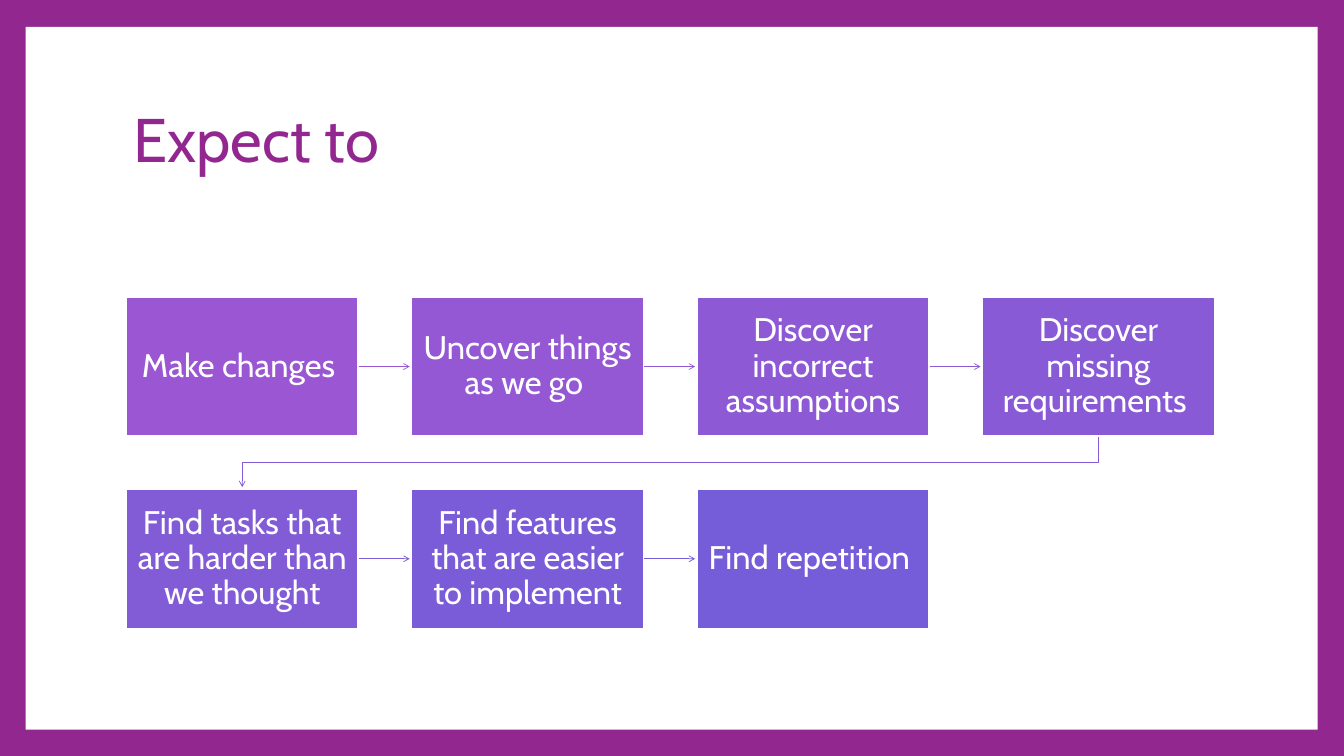
from lxml import etree
from pptx import Presentation
from pptx import util as u
from pptx.dml.color import RGBColor
from pptx.enum import shapes, text
from pptx.oxml.ns import qn

PURPLE, WHITE = "92278F", "FFFFFF"
LEFT, TOP = 1.88, 4.42
BOX_WIDTH, BOX_HEIGHT = 3.45, 2.07
STEP_X, STEP_Y = 4.247, 2.86
COLUMNS = 4
ARROW_GAP = 0.03

# Text, box colour, colour of the arrow to the next box
STEPS = [
    ("Make changes ", "9B57D3", "9B57D3"),
    ("Uncover things as we go ", "9558D4", "9358D4"),
    ("Discover incorrect assumptions", "8E59D5", "8C59D5"),
    ("Discover missing requirements ", "885AD6", "845BD7"),
    ("Find tasks that are harder than we thought", "825BD7", "7D5CD8"),
    ("Find features that are easier to implement", "7B5CD8", "755DD9"),
    ("Find repetition ", "755DD9", None),
]


def rgb(value):
    return RGBColor.from_string(value)


def apply(target, values):
    for name, value in values.items():
        setattr(target, name, value)


def write_text(shape, words, size, color, frame_format, align):
    frame = shape.text_frame
    apply(frame, {"word_wrap": True, "auto_size": text.MSO_AUTO_SIZE.NONE,
                  "vertical_anchor": text.MSO_ANCHOR.MIDDLE, **frame_format})
    para = frame.paragraphs[0]
    apply(para, {"alignment": align, "line_spacing": 0.9})
    span = para.add_run()
    span.text = words
    apply(span.font, {"name": "Cabin", "size": u.Pt(size), "bold": False})
    span.font.color.rgb = rgb(color)


def add_rectangle(page, left, top, width, height, fill):
    box = page.shapes.add_shape(shapes.MSO_SHAPE.RECTANGLE, u.Inches(left),
                                u.Inches(top), u.Inches(width), u.Inches(height))
    box.shadow.inherit = False
    box.fill.solid()
    box.fill.fore_color.rgb = rgb(fill)
    box.line.fill.background()
    return box


def add_title(page, words):
    title = page.shapes.title
    apply(title, {"left": u.Inches(LEFT), "top": u.Inches(1),
                  "width": u.Inches(16.2), "height": u.Inches(2.23)})
    write_text(title, words, 66, PURPLE, {}, text.PP_ALIGN.LEFT)


def add_step(page, left, top, words, fill):
    box = add_rectangle(page, left, top, BOX_WIDTH, BOX_HEIGHT, fill)
    box.line.color.rgb = rgb(WHITE)
    box.line.width = u.Pt(1.5)
    margins = {"margin_left": u.Inches(0.17), "margin_right": u.Inches(0.17),
               "margin_top": u.Inches(0.18), "margin_bottom": u.Inches(0.18)}
    write_text(box, words, 35, WHITE, margins, text.PP_ALIGN.CENTER)


def format_arrow(arrow, color):
    arrow.line.color.rgb = rgb(color)
    arrow.line.width = u.Pt(0.79)
    etree.SubElement(arrow.line._get_or_add_ln(), qn("a:tailEnd"), type="arrow")


def add_straight_arrow(page, start, end, color):
    arrow = page.shapes.add_connector(shapes.MSO_CONNECTOR.STRAIGHT,
                                      *map(u.Inches, start + end))
    format_arrow(arrow, color)
    etree.SubElement(arrow._element.spPr, qn("a:effectLst"))


def add_bent_arrow(page, points, color):
    corners = [tuple(map(u.Inches, point)) for point in points]
    builder = page.shapes.build_freeform(*corners[0])
    builder.add_line_segments(corners[1:], close=False)
    arrow = builder.convert_to_shape()
    arrow.shadow.inherit = False
    arrow.fill.background()
    format_arrow(arrow, color)


def position(index):
    row, column = divmod(index, COLUMNS)
    return LEFT + column * STEP_X, TOP + row * STEP_Y


def link_to_next(page, index, color):
    """Points right within a row, and bends down to the start of the next row."""
    left, top = position(index)
    next_left, next_top = position(index + 1)
    if next_top == top:
        middle = top + BOX_HEIGHT / 2
        add_straight_arrow(page, (left + BOX_WIDTH, middle),
                           (next_left - ARROW_GAP, middle), color)
        return
    start_x, end_x = left + BOX_WIDTH / 2, next_left + BOX_WIDTH / 2
    bottom = top + BOX_HEIGHT
    bend = (bottom + next_top) / 2
    add_bent_arrow(page, [(start_x, bottom), (start_x, bend), (end_x, bend),
                          (end_x, next_top - ARROW_GAP)], color)


def main():
    deck = Presentation()
    apply(deck, {"slide_width": u.Inches(20), "slide_height": u.Inches(11.25)})
    page = deck.slides.add_slide(deck.slide_layouts[5])
    page.background.fill.solid()
    page.background.fill.fore_color.rgb = rgb(PURPLE)

    panel = add_rectangle(page, 0.38, 0.4, 19.23, 10.46, WHITE)
    page.shapes.title._element.addprevious(panel._element)
    add_title(page, "Expect to")
    for index, (words, fill, arrow_color) in enumerate(STEPS):
        if arrow_color:
            link_to_next(page, index, arrow_color)
        add_step(page, *position(index), words, fill)
    deck.save("out.pptx")


if __name__ == "__main__":
    main()
